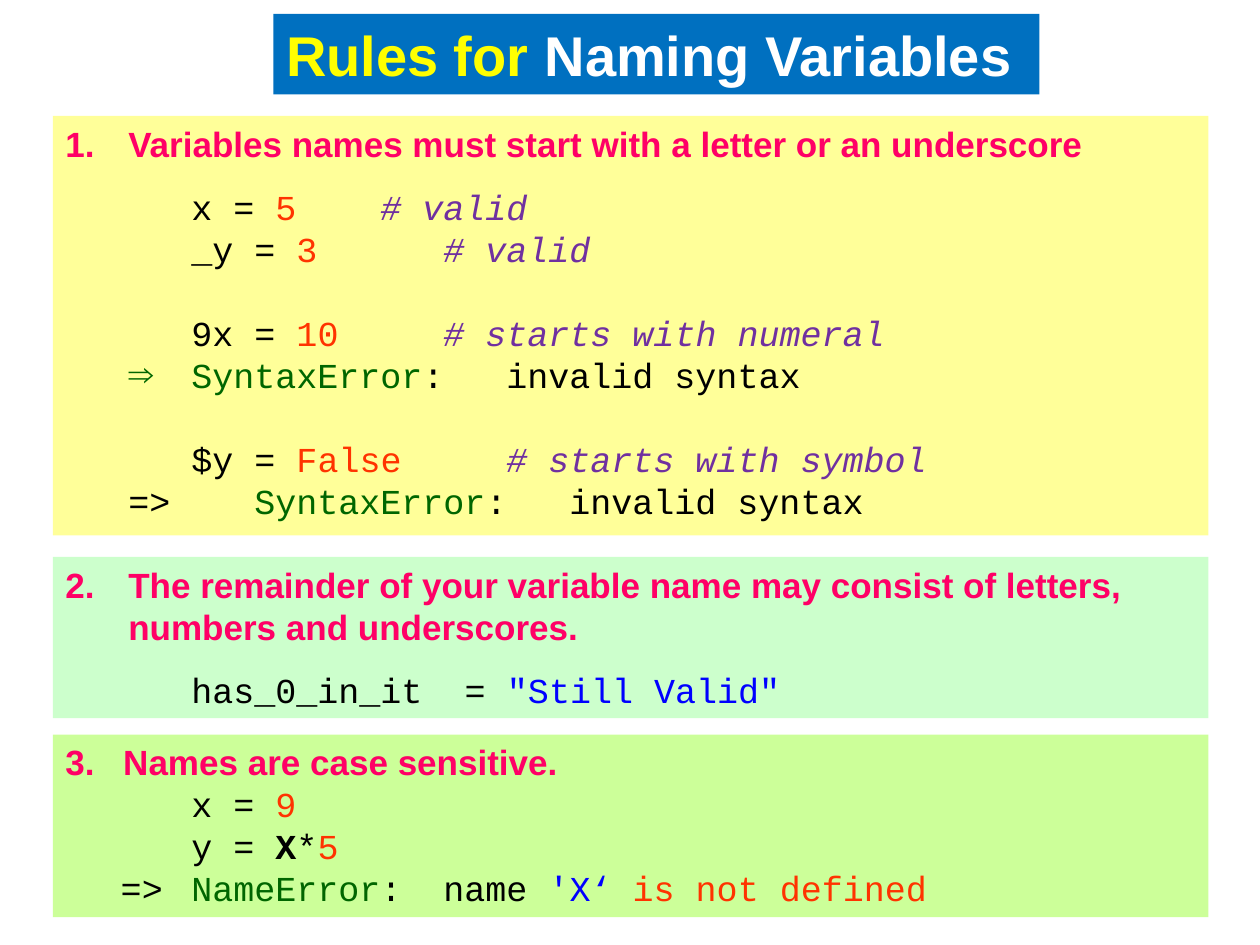
from dataclasses import dataclass

from lxml import etree
from pptx import Presentation
from pptx.dml.color import RGBColor
from pptx.enum.text import MSO_ANCHOR, MSO_AUTO_SIZE, PP_ALIGN
from pptx.oxml.ns import qn
from pptx.util import Inches, Pt

TOP, MIDDLE = MSO_ANCHOR.TOP, MSO_ANCHOR.MIDDLE
LEFT = PP_ALIGN.LEFT
NO_FIT = MSO_AUTO_SIZE.NONE


@dataclass(frozen=True)
class Theme:
    sans: str = "Arial"
    mono: str = "Courier New"
    title_size: int = 32
    text_size: int = 20
    line: int = 24
    gap: int = 12
    title_fill: str = "0070C0"
    title_accent: str = "FFFF00"
    title_text: str = "FFFFFF"
    heading: str = "FF0066"
    plain: str = "000000"
    value: str = "FF3300"
    comment: str = "7030A0"
    error: str = "006600"
    string: str = "0000FF"
    yellow: str = "FFFF99"
    mint: str = "CCFFCC"
    lime: str = "CCFF99"


T = Theme()


def fill(sp, color):
    sp.fill.solid()
    sp.fill.fore_color.rgb = RGBColor.from_string(color)


def add_run(p, text, color, font=T.mono, size=T.text_size, bold=False):
    r = p.add_run()
    r.text = text
    r.font.name = font
    r.font.size = Pt(size)
    r.font.bold = bold
    r.font.italic = color == T.comment
    r.font.color.rgb = RGBColor.from_string(color)


def set_indent(p, margin, first):
    pPr = p._p.get_or_add_pPr()
    pPr.set("marL", str(Inches(margin)))
    pPr.set("indent", str(Inches(first)))
    return pPr


def add_bullet(pPr, font, tag, **attrs):
    etree.SubElement(pPr, qn("a:buFont"), typeface=font)
    etree.SubElement(pPr, qn(tag), **attrs)


def add_title(s, box, parts):
    sp = s.shapes.title
    sp.left, sp.top, sp.width, sp.height = map(Inches, box)
    fill(sp, T.title_fill)
    tf = sp.text_frame
    tf.auto_size = NO_FIT
    tf.word_wrap = False
    tf.vertical_anchor = MIDDLE
    p = tf.paragraphs[0]
    p.alignment = LEFT
    for text, color in parts:
        add_run(p, text, color, T.sans, T.title_size, True)


def add_heading(p, number, text, margin, gap):
    p.line_spacing = Pt(T.line)
    p.space_after = Pt(gap)
    pPr = set_indent(p, margin, -margin)
    add_bullet(pPr, T.sans, "a:buAutoNum", type="arabicPeriod", startAt=str(number))
    add_run(p, text, T.heading, T.sans, bold=True)


def add_code(p, parts, hang=0, before=0, bullet=None):
    p.line_spacing = Pt(T.line)
    p.space_before = Pt(before)
    pPr = set_indent(p, 1, -hang)
    if bullet:
        add_bullet(pPr, T.sans, "a:buChar", char=bullet)
    for text, color, *bold in parts:
        add_run(p, text, color, bold=bool(bold))


def add_rule(s, box, color, number, heading, margin, gap, code):
    sp = s.shapes.add_textbox(*map(Inches, box))
    fill(sp, color)
    tf = sp.text_frame
    tf.word_wrap = True
    tf.auto_size = NO_FIT
    tf.vertical_anchor = TOP
    add_heading(tf.paragraphs[0], number, heading, margin, gap)
    for parts, options in code:
        add_code(tf.add_paragraph(), parts, **options)


def assign(name, value, comment):
    return [(name + " = ", T.plain), (value + "\t\t", T.value), (comment, T.comment)]


def main():
    prs = Presentation()
    prs.slide_width, prs.slide_height = Inches(10), Inches(7.5)
    s = prs.slides.add_slide(prs.slide_layouts[5])
    add_title(s, (2.17, 0.11, 6.08, 0.64),
              [("Rules for ", T.title_accent), ("Naming Variables", T.title_text)])

    left, width = 0.42, 9.17
    syntax_error = [("SyntaxError", T.error), (": \tinvalid syntax", T.plain)]
    add_rule(s, (left, 0.92, width, 3.33), T.yellow, 1,
             "Variables names must start with a letter or an underscore", 0.5, T.gap, [
                 (assign("x", "5", "# valid"), {}),
                 (assign("_y", "3", "# valid"), {}),
                 (assign("9x", "10", "# starts with numeral"), {"before": T.line}),
                 (syntax_error, {"hang": 0.5, "bullet": "⇒"}),
                 (assign("$y", "False", "# starts with symbol"), {"before": T.line}),
                 ([("=>\t\t", T.plain)] + syntax_error, {"hang": 0.5}),
             ])
    add_rule(s, (left, 4.42, width, 1.28), T.mint, 2,
             "The remainder of your variable name may consist of letters, "
             "numbers and underscores.", 0.5, T.gap, [
                 ([("has_0_in_it  = ", T.plain), ('"Still Valid"', T.string)], {}),
             ])
    add_rule(s, (left, 5.83, width, 1.45), T.lime, 3,
             "Names are case sensitive.", 0.46, 0, [
                 ([("x = ", T.plain), ("9", T.value)], {}),
                 ([("y = ", T.plain), ("X", T.plain, True), ("*", T.plain),
                   ("5", T.value)], {}),
                 ([("=>\t", T.plain), ("NameError", T.error), (": \tname ", T.plain),
                   ("'X‘ ", T.string), ("is not defined", T.value)], {"hang": 0.56}),
             ])
    prs.save("out.pptx")


if __name__ == "__main__":
    main()
